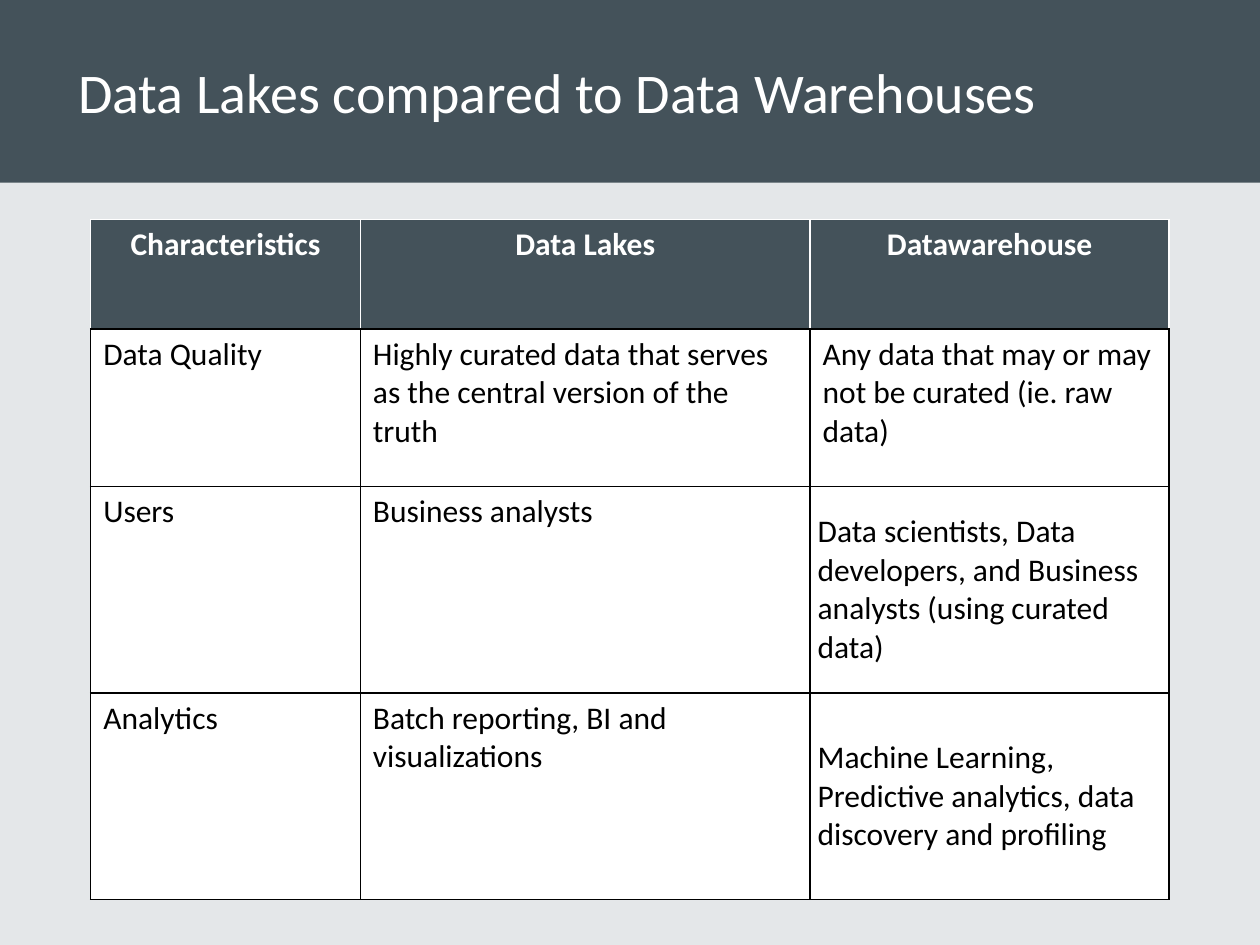
from lxml import etree
from pptx import Presentation
from pptx import util as u
from pptx.dml.color import RGBColor
from pptx.enum import shapes, text
from pptx.oxml import ns

SLATE, PALE, WHITE, BLACK = "44525A", "E4E7E9", "FFFFFF", "000000"
BAND_HEIGHT = 1.45

HEADINGS = ["Characteristics", "Data Lakes", "Datawarehouse"]
COMPARISON = [
    ["Data Quality",
     "Highly curated data that serves as the central version of the truth",
     "Any data that may or may not be curated (ie. raw data)"],
    ["Users",
     "Business analysts",
     "Data scientists, Data developers, and Business analysts (using curated data)"],
    ["Analytics",
     "Batch reporting, BI and visualizations",
     "Machine Learning, Predictive analytics, data discovery and profiling"],
]
COLUMN_WIDTHS = [2.14, 3.57, 2.85]
ROW_HEIGHTS = [0.87, 1.25, 1.64, 1.64]


def paint(color_holder, color):
    color_holder.rgb = RGBColor.from_string(color)


def fill(target, color):
    target.fill.solid()
    paint(target.fill.fore_color, color)


class Deck:
    font_name = "Calibri"

    def __init__(self, width, height):
        self.deck = Presentation()
        self.deck.slide_width, self.deck.slide_height = u.Inches(width), u.Inches(height)
        self.width = width
        self.slide = self.deck.slides.add_slide(self.deck.slide_layouts[5])
        fill(self.slide.background, PALE)

    def style(self, paragraph, size, color, bold=False):
        font = paragraph.font
        font.name, font.size, font.bold = self.font_name, u.Pt(size), bold
        paint(font.color, color)

    def band(self, height, color):
        band = self.slide.shapes.add_shape(
            shapes.MSO_SHAPE.RECTANGLE, 0, 0, u.Inches(self.width), u.Inches(height))
        band.shadow.inherit = False
        band.line.fill.background()
        fill(band, color)

    def title(self, wording, left, height):
        title = self.slide.shapes.title
        title.left, title.top = u.Inches(left), 0
        title.width, title.height = u.Inches(self.width - left), u.Inches(height)
        frame = title.text_frame
        frame.text = wording
        frame.vertical_anchor = text.MSO_ANCHOR.MIDDLE
        frame.paragraphs[0].alignment = text.PP_ALIGN.LEFT
        self.style(frame.paragraphs[0], 32, WHITE)
        self.slide.shapes._spTree.append(title._element)

    def borders(self, cell, **colors):
        properties = cell._tc.get_or_add_tcPr()
        for place, side in enumerate("LRTB"):
            line = etree.Element(ns.qn(f"a:ln{side}"), w=str(u.Pt(1)))
            solid = etree.SubElement(line, ns.qn("a:solidFill"))
            etree.SubElement(solid, ns.qn("a:srgbClr"), val=colors.get(side, BLACK))
            properties.insert(place, line)

    def table(self, rows, left, top, widths, heights):
        table = self.slide.shapes.add_table(
            len(rows), len(widths), u.Inches(left), u.Inches(top),
            u.Inches(sum(widths)), u.Inches(sum(heights))).table
        for column, width in zip(table.columns, widths):
            column.width = u.Inches(width)
        for row, height in zip(table.rows, heights):
            row.height = u.Inches(height)
        for r, wordings in enumerate(rows):
            for c, wording in enumerate(wordings):
                self.cell(table.cell(r, c), wording, header=r == 0)
        return table

    def cell(self, cell, wording, header):
        cell.text = wording
        paragraph = cell.text_frame.paragraphs[0]
        self.style(paragraph, 18, WHITE if header else BLACK, header)
        fill(cell, SLATE if header else WHITE)
        if header:
            paragraph.alignment = text.PP_ALIGN.CENTER
            self.borders(cell, L=WHITE, R=WHITE, T=WHITE)
        else:
            self.borders(cell)

    def center_tightly(self, cell, margin):
        cell.vertical_anchor = text.MSO_ANCHOR.MIDDLE
        cell.margin_left = cell.margin_right = u.Inches(margin)
        cell.margin_top = cell.margin_bottom = u.Inches(margin)


def main():
    page = Deck(10, 7.5)
    page.band(BAND_HEIGHT, SLATE)
    comparison = page.table([HEADINGS] + COMPARISON, 0.72, 1.74, COLUMN_WIDTHS, ROW_HEIGHTS)
    for row in (2, 3):
        page.center_tightly(comparison.cell(row, 2), 0.06)
    page.title("Data Lakes compared to Data Warehouses", 0.52, BAND_HEIGHT)
    page.deck.save("out.pptx")


if __name__ == "__main__":
    main()
